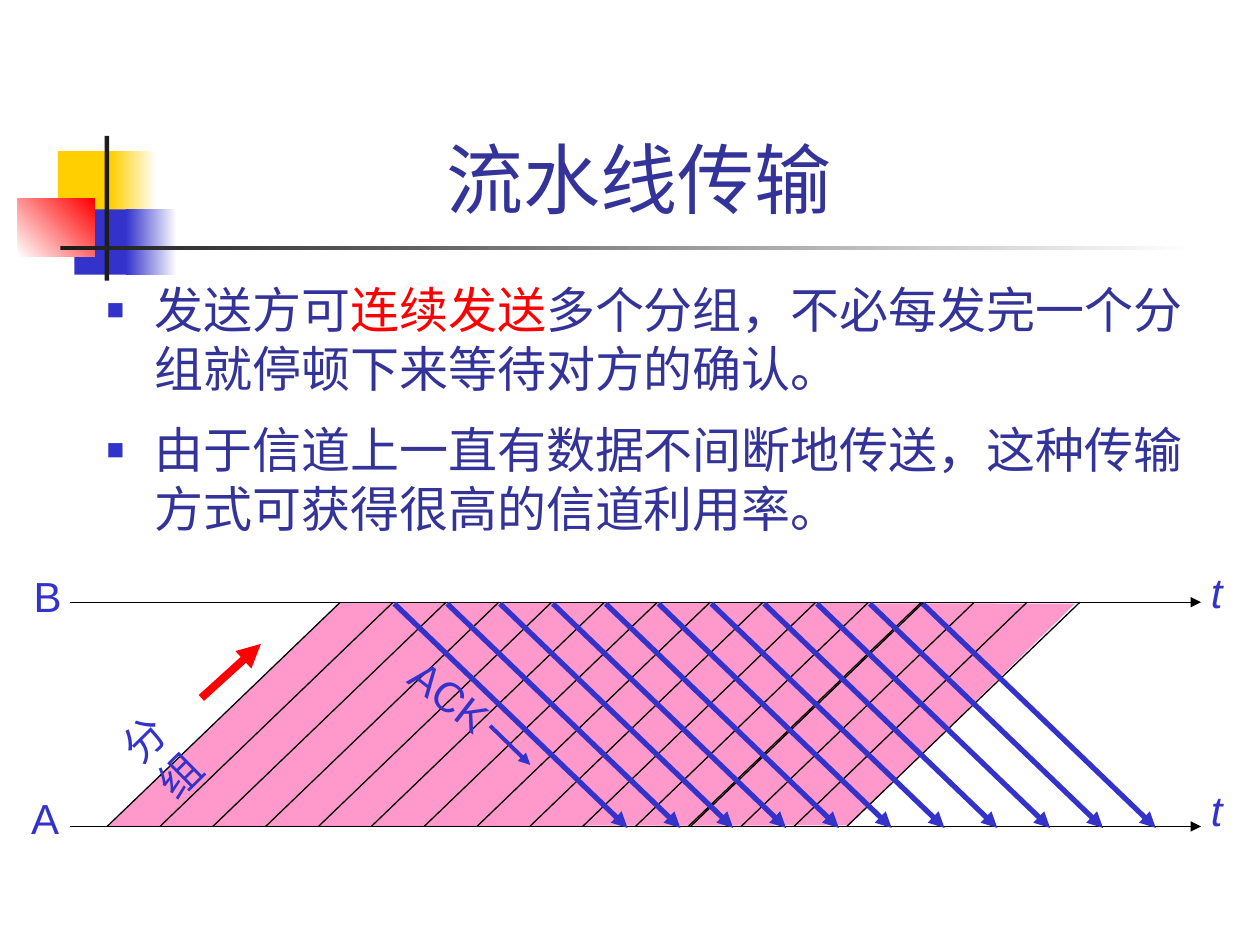
from typing import NamedTuple, Optional

from lxml.etree import SubElement
from pptx import Presentation
from pptx.dml.color import RGBColor
from pptx.enum.shapes import MSO_CONNECTOR as Connector
from pptx.enum.shapes import MSO_SHAPE as Preset
from pptx.enum.text import MSO_ANCHOR as Anchor
from pptx.enum.text import PP_ALIGN as Align
from pptx.oxml.ns import qn
from pptx.util import Cm, Pt

FONT = "Arial"
BLUE, NAVY, RED = "3333CC", "333399", "FF0000"
WHITE, BLACK, DARK, YELLOW, PINK = "FFFFFF", "000000", "1C1C1C", "FFCF01", "FF99CC"

RECEIVER_Y, SENDER_Y = 12.14, 16.66
AXIS_LEFT, AXIS_RIGHT = 1.42, 24.21
TRAVEL = 4.7
PACKET_COUNT, ACK_COUNT = 15, 11
FIRST_PACKET, LAST_PACKET = 2.16, 17.07
PACKET_GAP = (LAST_PACKET - FIRST_PACKET) / (PACKET_COUNT - 1)
FIRST_ACK = 7.95
ACK_DROP = 0.03


class Block(NamedTuple):
    left: float
    top: float
    width: float
    height: float
    start: str
    end: Optional[str] = None
    angle: float = 0


class Label(NamedTuple):
    text: str
    left: float
    top: float
    width: float
    rotation: float = 0
    italic: bool = False


class Line(NamedTuple):
    x1: float
    y1: float
    x2: float
    y2: float
    color: str = BLACK
    weight: float = 0.75
    arrow: bool = False


BLOCKS = [
    Block(1.17, 3.05, 1.22, 1.32, YELLOW),
    Block(2.24, 3.05, 0.91, 1.32, YELLOW, WHITE),
    Block(1.5, 4.22, 1.17, 1.32, BLUE),
    Block(2.54, 4.22, 1.02, 1.32, BLUE, WHITE),
    Block(0.36, 4.01, 1.55, 1.17, WHITE, RED, 45),
    Block(2.11, 2.74, 0.09, 2.92, DARK),
    Block(1.22, 4.95, 22.86, 0.09, DARK, WHITE),
]

LABELS = [
    Label("B", 0.43, 11.38, 1.07),
    Label("A", 0.38, 15.85, 1.07),
    Label("t", 24.16, 11.3, 0.74, italic=True),
    Label("t", 24.16, 15.7, 0.74, italic=True),
    Label("分组", 2.11, 13.97, 2.18, rotation=315.3),
    Label("ACK", 7.95, 13.39, 2.24, rotation=37.8),
]

AXES = [Line(AXIS_LEFT, y, AXIS_RIGHT, y, arrow=True) for y in (SENDER_Y, RECEIVER_Y)]
PACKET_STARTS = [FIRST_PACKET + i * PACKET_GAP for i in range(PACKET_COUNT)] + [13.92]
PACKETS = [Line(x, SENDER_Y, x + TRAVEL, RECEIVER_Y) for x in PACKET_STARTS]
ACK_STARTS = [FIRST_ACK + i * PACKET_GAP for i in range(ACK_COUNT)]
ACKS = [
    Line(x, RECEIVER_Y + ACK_DROP, x + TRAVEL, SENDER_Y + ACK_DROP, BLUE, 3, True)
    for x in ACK_STARTS
]
POINTERS = [
    Line(4.06, 14.07, 5.26, 12.98, RED, 4.5, True),
    Line(9.88, 14.63, 10.69, 15.42, BLUE, 2.25, True),
]

BODY = [
    [
        ("发送方可", NAVY),
        ("连续发送", RED),
        ("多个分组，不必每发完一个分组就停顿下来等待对方的确认。", NAVY),
    ],
    [("由于信道上一直有数据不间断地传送，这种传输方式可获得很高的信道利用率。", NAVY)],
]


def rgb(color: str) -> RGBColor:
    return RGBColor.from_string(color)


def style_run(run, size: float, color: str, italic: bool = False) -> None:
    run.font.name = FONT
    run.font.size = Pt(size)
    run.font.color.rgb = rgb(color)
    run.font.italic = italic


def add_block(slide, block: Block) -> None:
    shape = slide.shapes.add_shape(
        Preset.RECTANGLE, Cm(block.left), Cm(block.top), Cm(block.width), Cm(block.height)
    )
    shape.shadow.inherit = False
    shape.line.fill.background()
    if block.end is None:
        shape.fill.solid()
        shape.fill.fore_color.rgb = rgb(block.start)
        return
    shape.fill.gradient()
    shape.fill.gradient_angle = block.angle
    for stop, color in zip(shape.fill.gradient_stops, (block.start, block.end)):
        stop.color.rgb = rgb(color)


def add_line(slide, line: Line) -> None:
    connector = slide.shapes.add_connector(
        Connector.STRAIGHT, Cm(line.x1), Cm(line.y1), Cm(line.x2), Cm(line.y2)
    )
    connector.line.color.rgb = rgb(line.color)
    connector.line.width = Pt(line.weight)
    properties = connector.element.spPr
    if line.arrow:
        SubElement(properties.find(qn("a:ln")), qn("a:tailEnd"), type="triangle")
    SubElement(properties, qn("a:effectLst"))


def add_label(slide, label: Label) -> None:
    shape = slide.shapes.add_textbox(
        Cm(label.left), Cm(label.top), Cm(label.width), Cm(1.27)
    )
    shape.rotation = label.rotation
    shape.text_frame.word_wrap = False
    shape.text_frame.text = label.text
    style_run(shape.text_frame.paragraphs[0].runs[0], 24, BLUE, label.italic)


def add_title(slide, text: str) -> None:
    shape = slide.shapes.add_textbox(Cm(3.2), Cm(0.58), Cm(19.71), Cm(4.06))
    shape.text_frame.word_wrap = True
    shape.text_frame.vertical_anchor = Anchor.BOTTOM
    shape.text_frame.text = text
    paragraph = shape.text_frame.paragraphs[0]
    paragraph.alignment = Align.CENTER
    style_run(paragraph.runs[0], 44, NAVY)


def add_bullet(paragraph) -> None:
    properties = paragraph._p.get_or_add_pPr()
    properties.set("marL", str(Cm(0.97)))
    properties.set("indent", str(Cm(-0.97)))
    SubElement(SubElement(properties, qn("a:buClr")), qn("a:srgbClr"), val=BLUE)
    SubElement(properties, qn("a:buSzPct"), val="60000")
    SubElement(properties, qn("a:buFont"), typeface=FONT)
    SubElement(properties, qn("a:buChar"), char="■")


def add_body(slide, paragraphs: list) -> None:
    shape = slide.shapes.add_textbox(Cm(1.9), Cm(5.51), Cm(22.38), Cm(5.79))
    text_frame = shape.text_frame
    text_frame.word_wrap = True
    for index, parts in enumerate(paragraphs):
        paragraph = text_frame.add_paragraph() if index else text_frame.paragraphs[0]
        add_bullet(paragraph)
        paragraph.space_before = Pt(7 if index else 0)
        paragraph.space_after = Pt(6)
        for text, color in parts:
            run = paragraph.add_run()
            run.text = text
            style_run(run, 28, color)


def add_packet_band(slide) -> None:
    corners = [(2.18, 16.66), (6.86, 12.14), (21.67, 12.17), (17.12, 16.64)]
    points = [(Cm(x), Cm(y)) for x, y in corners]
    builder = slide.shapes.build_freeform(*points[0])
    builder.add_line_segments(points[1:], close=True)
    shape = builder.convert_to_shape()
    shape.shadow.inherit = False
    shape.fill.solid()
    shape.fill.fore_color.rgb = rgb(PINK)
    shape.line.fill.background()


def main() -> None:
    presentation = Presentation()
    presentation.slide_width, presentation.slide_height = Cm(25.4), Cm(19.05)
    slide = presentation.slides.add_slide(presentation.slide_layouts[6])
    for block in BLOCKS:
        add_block(slide, block)
    add_title(slide, "流水线传输 ")
    add_body(slide, BODY)
    add_packet_band(slide)
    for line in AXES + PACKETS + ACKS + POINTERS:
        add_line(slide, line)
    for label in LABELS:
        add_label(slide, label)
    presentation.save("out.pptx")


if __name__ == "__main__":
    main()
